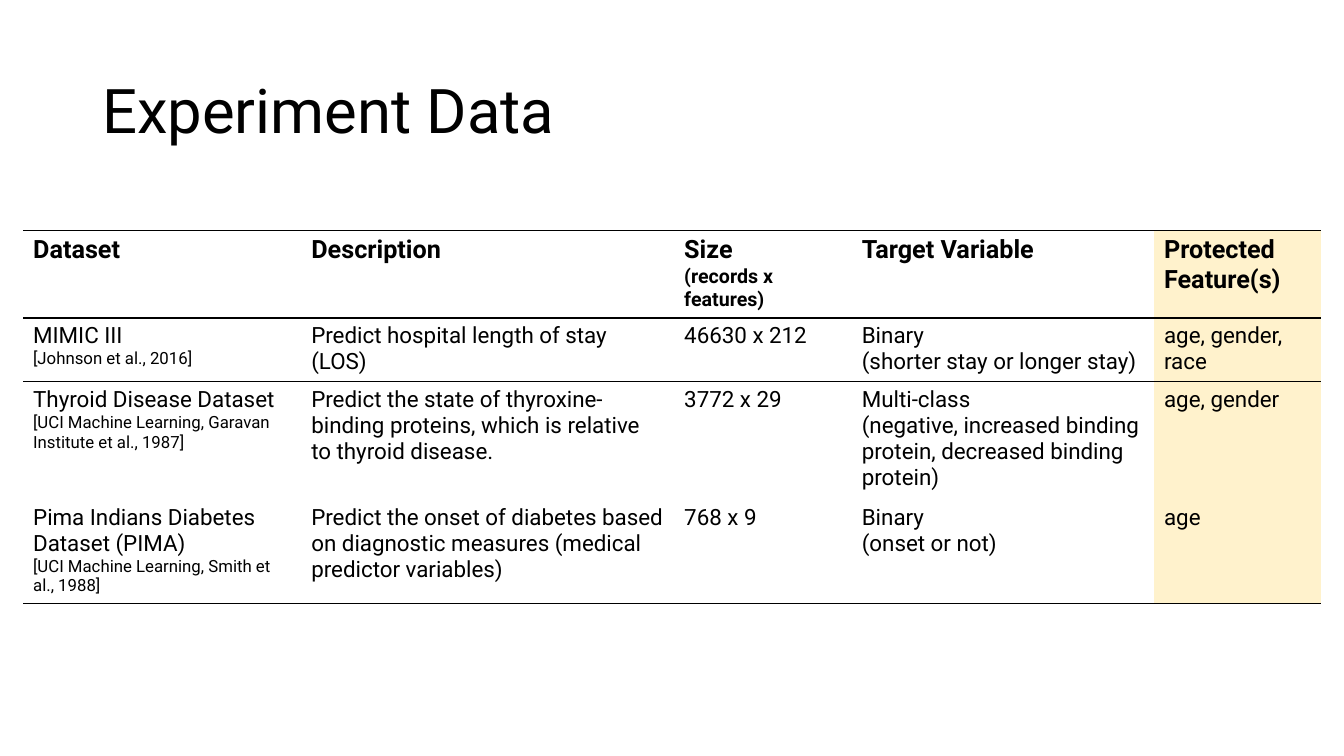
from dataclasses import dataclass

from lxml.etree import SubElement
from pptx import Presentation
from pptx.dml.color import RGBColor
from pptx.enum.text import MSO_ANCHOR as Anchor
from pptx.oxml.ns import qn
from pptx.util import Pt

BLACK = RGBColor(0x00, 0x00, 0x00)
HIGHLIGHT = RGBColor(0xFF, 0xF2, 0xCC)
FONT = "Roboto"
RULE_WIDTH = 1

COLUMN_WIDTHS = (198.7, 266.4, 126.9, 215.9, 119.4)
PROTECTED_COLUMN = 4
HEADER_SIZE, UNITS_SIZE, BODY_SIZE, CITATION_SIZE = 18, 14, 16, 12


@dataclass(frozen=True)
class Line:
    text: str
    size: float = BODY_SIZE
    bold: bool = False


@dataclass(frozen=True)
class Row:
    height: float
    cells: tuple[tuple[Line, ...], ...]
    rule_above: bool
    rule_below: bool


def heading(text: str, size: float = HEADER_SIZE) -> Line:
    return Line(text, size, True)


def citation(text: str) -> Line:
    return Line(text, CITATION_SIZE)


ROWS = (
    Row(62, (
        (heading("Dataset"),),
        (heading("Description"),),
        (heading("Size"), heading("(records x features)", UNITS_SIZE)),
        (heading("Target Variable"),),
        (heading("Protected Feature(s)"),),
    ), rule_above=True, rule_below=True),
    Row(44.3, (
        (Line("MIMIC III"), citation("[Johnson et al., 2016]")),
        (Line("Predict hospital length of stay (LOS)"),),
        (Line("46630 x 212"),),
        (Line("Binary"), Line("(shorter stay or longer stay)")),
        (Line("age, gender, race"),),
    ), rule_above=True, rule_below=True),
    Row(82, (
        (Line("Thyroid Disease Dataset"),
         citation("[UCI Machine Learning, Garavan Institute et al., 1987]")),
        (Line("Predict the state of thyroxine-binding proteins, "
              "which is relative to thyroid disease."),),
        (Line("3772 x 29"),),
        (Line("Multi-class"),
         Line("(negative, increased binding protein, decreased binding protein)")),
        (Line("age, gender"),),
    ), rule_above=True, rule_below=False),
    Row(72, (
        (Line("Pima Indians Diabetes Dataset (PIMA)"),
         citation("[UCI Machine Learning, Smith et al., 1988]")),
        (Line("Predict the onset of diabetes based on diagnostic measures "
              "(medical predictor variables)"),),
        (Line("768 x 9"),),
        (Line("Binary"), Line("(onset or not)")),
        (Line("age"),),
    ), rule_above=False, rule_below=True),
)


def write_lines(frame, lines: tuple[Line, ...]) -> None:
    frame.word_wrap = True
    for index, line in enumerate(lines):
        paragraph = frame.add_paragraph() if index else frame.paragraphs[0]
        paragraph.text = line.text
        font = paragraph.font
        font.name, font.size, font.bold = FONT, Pt(line.size), line.bold
        font.color.rgb = BLACK


def set_borders(cell, above: bool, below: bool) -> None:
    properties = cell._tc.get_or_add_tcPr()
    sides = {"lnL": False, "lnR": False, "lnT": above, "lnB": below}
    for side, visible in sides.items():
        border = SubElement(properties, qn(f"a:{side}"), w=str(Pt(RULE_WIDTH)))
        if visible:
            fill = SubElement(border, qn("a:solidFill"))
            SubElement(fill, qn("a:srgbClr"), val=str(BLACK))
        else:
            SubElement(border, qn("a:noFill"))


def add_title(slide, text: str) -> None:
    title = slide.shapes.add_textbox(Pt(66), Pt(28.8), Pt(828), Pt(104.4)).text_frame
    title.vertical_anchor = Anchor.MIDDLE
    write_lines(title, (Line(text, 44),))
    title.paragraphs[0].line_spacing = 0.9


def add_dataset_table(slide) -> None:
    datasets = slide.shapes.add_table(
        len(ROWS), len(COLUMN_WIDTHS), Pt(16.5), Pt(164.7),
        Pt(sum(COLUMN_WIDTHS)), Pt(sum(row.height for row in ROWS))).table
    datasets.first_row = datasets.horz_banding = False
    for column, width in zip(datasets.columns, COLUMN_WIDTHS):
        column.width = Pt(width)
    for row_index, row in enumerate(ROWS):
        datasets.rows[row_index].height = Pt(row.height)
        for column_index, lines in enumerate(row.cells):
            cell = datasets.cell(row_index, column_index)
            write_lines(cell.text_frame, lines)
            set_borders(cell, row.rule_above, row.rule_below)
            if column_index == PROTECTED_COLUMN:
                cell.fill.solid()
                cell.fill.fore_color.rgb = HIGHLIGHT
            else:
                cell.fill.background()


def main() -> None:
    deck = Presentation()
    deck.slide_width, deck.slide_height = Pt(960), Pt(540)
    slide = deck.slides.add_slide(deck.slide_layouts[6])
    add_title(slide, "Experiment Data")
    add_dataset_table(slide)
    deck.save("out.pptx")


if __name__ == "__main__":
    main()
